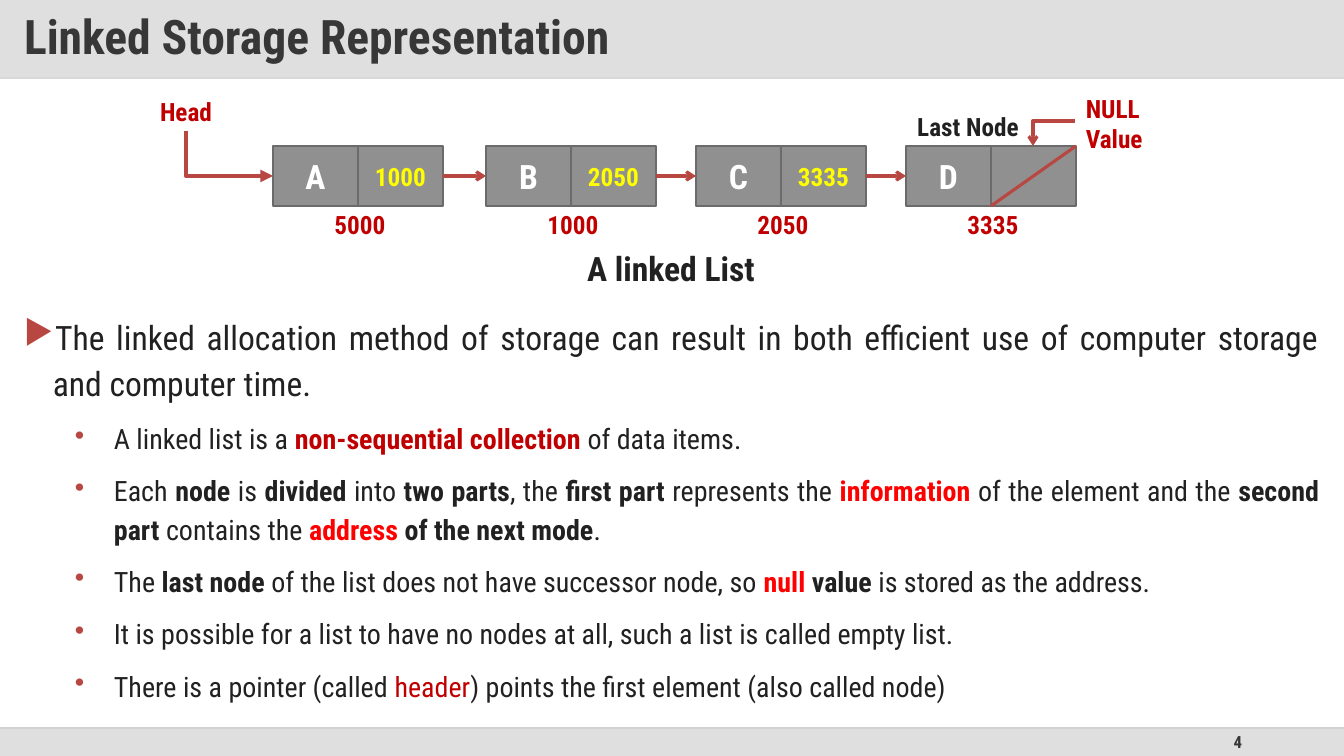
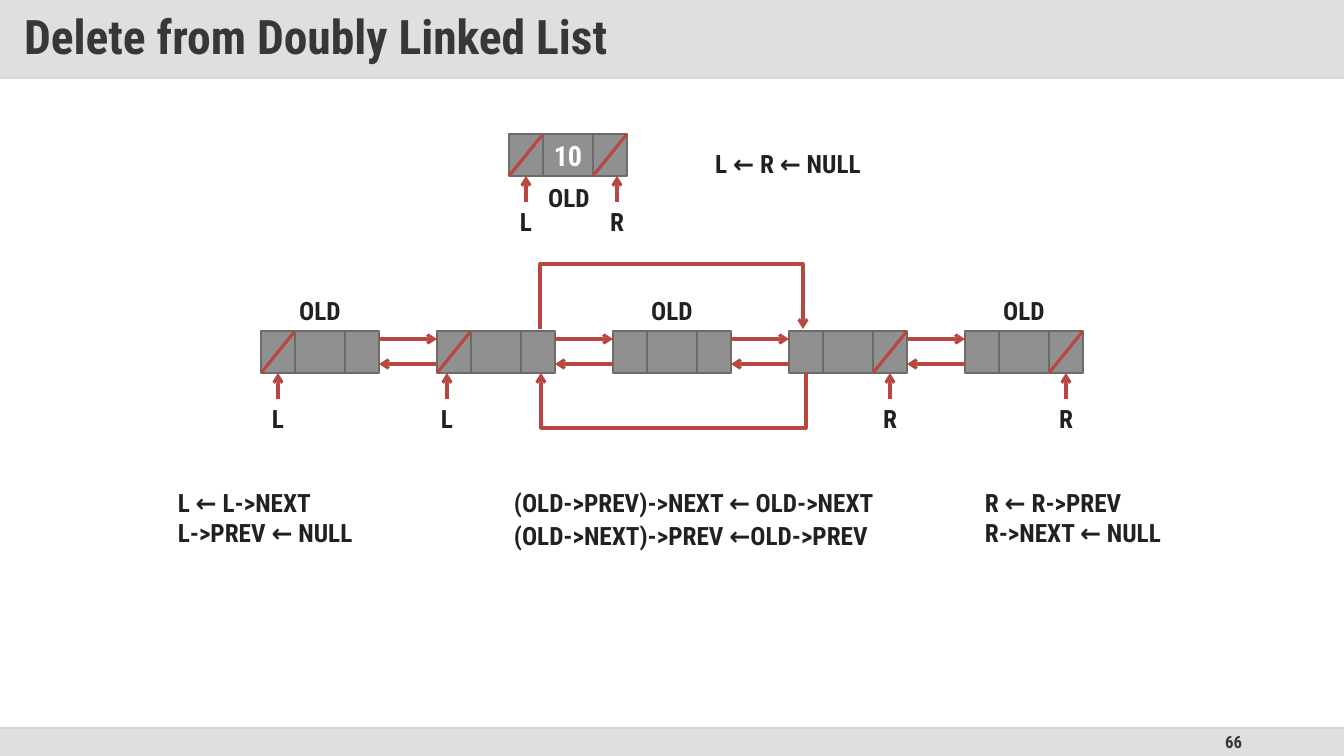
from lxml.etree import SubElement as Sub
from pptx import Presentation
from pptx.dml.color import RGBColor as RGB
from pptx.enum.shapes import MSO_CONNECTOR as Conn, MSO_SHAPE as Shape
from pptx.enum.text import MSO_ANCHOR as Anchor, PP_ALIGN as Align
from pptx.oxml.ns import qn
from pptx.util import Emu, Pt

WIDE, HIGH = 1344, 756
SCALE = 12192000 / WIDE
FONT = "Roboto Condensed"

BAND = RGB(0xDF, 0xDF, 0xDF)
RULE = RGB(0xD9, 0xD9, 0xD9)
FOOT = RGB(0xD2, 0xD2, 0xD2)
TITLE = RGB(0x37, 0x37, 0x37)
INK = RGB(0x21, 0x21, 0x21)
CELL = RGB(0x90, 0x90, 0x90)
EDGE = RGB(0x6B, 0x6B, 0x6B)
RUST = RGB(0xB8, 0x47, 0x42)
DARK = RGB(0xC0, 0x00, 0x00)
RED = RGB(0xFF, 0x00, 0x00)
GOLD = RGB(0xFF, 0xFF, 0x00)
WHITE = RGB(0xFF, 0xFF, 0xFF)


def px(n):
    return Emu(round(n * SCALE))


def write(frame, paras, size=18, ink=INK, bold=True, align=Align.LEFT,
          anchor=Anchor.TOP, wrap=False, lead=None, gap=0, marks=None):
    """Each paragraph is a string or a list of strings and (text, ink, bold)."""
    frame.word_wrap = wrap
    frame.vertical_anchor = anchor
    for i, runs in enumerate(paras):
        para = frame.paragraphs[0] if i == 0 else frame.add_paragraph()
        para.alignment = align
        if marks:
            mark(para, *marks[min(i, len(marks) - 1)])
        if lead:
            para.line_spacing = lead
        if gap and i:
            para.space_before = Pt(gap)
        level = size[min(i, len(size) - 1)] if isinstance(size, tuple) else size
        for part in [runs] if isinstance(runs, str) else runs:
            words, tint, heavy = (part, ink, bold) if isinstance(part, str) else part
            run = para.add_run()
            run.text = words
            font = run.font
            font.name, font.size, font.bold = FONT, Pt(level), heavy
            font.color.rgb = tint


def mark(para, sign, left, hang, level):
    para.level = level
    props = para._p.get_or_add_pPr()
    props.set("marL", str(px(left)))
    props.set("indent", str(-px(hang)))
    Sub(Sub(props, qn("a:buClr")), qn("a:srgbClr")).set("val", str(RUST))
    Sub(props, qn("a:buChar")).set("char", sign)


def put(slide, box, paras, **style):
    area = slide.shapes.add_textbox(*map(px, box))
    write(area.text_frame, paras, **style)


def label(slide, text, mid, top, wide=72, **style):
    put(slide, (mid - wide / 2, top, wide, 40), [text], align=Align.CENTER, **style)


def block(slide, box, fill, edge=None):
    shape = slide.shapes.add_shape(Shape.RECTANGLE, *map(px, box))
    shape.shadow.inherit = False
    shape.fill.solid()
    shape.fill.fore_color.rgb = fill
    if edge:
        shape.line.color.rgb = edge
        shape.line.width = Pt(1)
    else:
        shape.line.fill.background()
    return shape


def stroke(shape, ink, width, head):
    line = shape.line
    line.color.rgb = ink
    line.width = Pt(width)
    if head:
        Sub(line._get_or_add_ln(), qn("a:tailEnd")).set("type", head)


def link(slide, start, end, ink=RUST, width=2.25, head=None):
    line = slide.shapes.add_connector(Conn.STRAIGHT, *map(px, start + end))
    stroke(line, ink, width, head)
    Sub(line._element.spPr, qn("a:effectLst"))
    return line


def route(slide, spots, width=2.25, head="arrow"):
    """Open line with square corners and an arrowhead at its end."""
    spots = [(px(x), px(y)) for x, y in spots]
    maker = slide.shapes.build_freeform(*spots[0])
    maker.add_line_segments(spots[1:], close=False)
    shape = maker.convert_to_shape()
    shape.shadow.inherit = False
    shape.fill.background()
    stroke(shape, RUST, width, head)


def node(slide, x, y, widths, high, texts=(), slashed=()):
    """Row of touching cells; texts are (words, size, ink) or None."""
    cells = []
    for i, wide in enumerate(widths):
        cell = block(slide, (x, y, wide, high), CELL, EDGE)
        if i < len(texts) and texts[i]:
            words, size, ink = texts[i]
            frame = cell.text_frame
            frame.margin_left = frame.margin_right = 0
            write(frame, [words], size=size, ink=ink,
                  align=Align.CENTER, anchor=Anchor.MIDDLE)
        if i in slashed:
            link(slide, (x, y + high), (x + wide, y))
        cells.append(cell)
        x += wide
    return cells


def frame(deck, title, page):
    """Title band, footer band, rules and page number."""
    slide = deck.slides.add_slide(deck.slide_layouts[5])
    block(slide, (0, 728, WIDE, 28), BAND)
    put(slide, (950, 728, 302, 28), [page], size=12, ink=TITLE,
        align=Align.RIGHT, anchor=Anchor.MIDDLE, wrap=True)
    head = slide.shapes.title
    head.left, head.top, head.width, head.height = map(px, (0, 0, WIDE, 78))
    head.fill.solid()
    head.fill.fore_color.rgb = BAND
    text = head.text_frame
    text.margin_left = text.margin_right = px(24)
    text.margin_top = text.margin_bottom = px(12)
    write(text, [title], size=34, ink=TITLE, anchor=Anchor.MIDDLE,
          wrap=True, lead=0.9)
    for y, ink in ((78, RULE), (728, FOOT)):
        link(slide, (0, y), (WIDE, y), ink, 1)
    return slide


def chain(slide, y):
    """Singly linked list with its head, addresses and null end."""
    wide, high = 85, 60
    data = [(273, "A", "1000", "5000"), (486, "B", "2050", "1000"),
            (696, "C", "3335", "2050"), (906, "D", None, "3335")]
    last = None
    for x, name, after, place in data:
        texts = [(name, 24, WHITE), (after, 18, GOLD) if after else None]
        cells = node(slide, x, y, (wide, wide), high, texts, () if after else (1,))
        label(slide, place, x + wide + 2, y + 58, ink=DARK)
        if last:
            arrow = link(slide, (x - 40, y + 30), (x, y + 30), head="arrow")
            arrow.begin_connect(last, 3)
            arrow.end_connect(cells[0], 1)
        last = cells[1]
    # Head and null pointers
    label(slide, "Head", 186, y - 55, ink=DARK)
    route(slide, [(186, y - 15), (186, y + 30), (273, y + 30)], 3, "triangle")
    label(slide, "Last Node", 968, y - 40, 125)
    put(slide, (1076, y - 58, 82, 72), ["NULL", "Value"], ink=DARK)
    route(slide, [(1075, y - 25), (1033, y - 25), (1033, y)])
    label(slide, "A linked List", 671, y + 97, 190, size=24)


def points(slide, box):
    """Bulleted notes: one lead line and its details."""
    def strong(words, ink=INK):
        return words, ink, True

    paras = [
        "The linked allocation method of storage can result in both efficient "
        "use of computer storage and computer time.",
        ["A linked list is a ", strong("non-sequential collection ", DARK),
         "of data items."],
        ["Each ", strong("node"), " is ", strong("divided"), " into ",
         strong("two parts"), ", the ", strong("first part "), "represents the ",
         strong("information", RED), " of the element and the ",
         strong("second part "), "contains the ", strong("address", RED),
         strong(" of the next mode"), "."],
        ["The ", strong("last node "),
         "of the list does not have successor node, so ", strong("null ", RED),
         strong("value "), "is stored as the address."],
        "It is possible for a list to have no nodes at all, such a list is "
        "called empty list.",
        ["There is a pointer (called ", ("header", DARK, False),
         ") points the first element (also called node)"],
    ]
    put(slide, box, paras, size=(24, 20), bold=False, align=Align.JUSTIFY,
        wrap=True, lead=1.14, gap=10,
        marks=[("▶", 29, 29, 0), ("•", 90, 39, 1)])


PARTS = (34, 50, 34)
TALL = 42


def pointer(slide, name, cell, mid, foot, shift=0):
    """Named arrow up to a cell, joined when it meets the middle."""
    x = mid + shift
    arrow = link(slide, (x, foot + 26), (x, foot), head="arrow")
    if not shift:
        arrow.end_connect(cell, 2)
    label(slide, name, x, foot + 25, 34)


def single(slide, x, y):
    """List of one node."""
    cells = node(slide, x, y, PARTS, TALL, [None, ("10", 20, WHITE)], (0, 2))
    label(slide, "OLD", x + 60, y + 43)
    pointer(slide, "L", cells[0], x + 17, y + TALL)
    pointer(slide, "R", cells[2], x + 101, y + TALL, 7)
    label(slide, "L ← R ← NULL", x + 279, y + 9, 174)


def double(slide, x, y):
    """Five doubly linked nodes with the bypass around the third."""
    step, wide = 176, sum(PARTS)
    slashes = [(0,), (0,), (), (2,), (2,)]
    ends = {0: ("L", 0, 0), 1: ("L", 0, -7), 3: ("R", 2, 0), 4: ("R", 2, 0)}
    for i, slashed in enumerate(slashes):
        left = x + i * step
        cells = node(slide, left, y, PARTS, TALL, slashed=slashed)
        if i % 2 == 0:
            label(slide, "OLD", left + wide / 2, y - 41)
        if i in ends:
            name, part, shift = ends[i]
            mid = left + (17 if part == 0 else wide - 17)
            pointer(slide, name, cells[part], mid, y + TALL, shift)
        if i:
            back = left - step + wide
            link(slide, (back, y + 8), (left, y + 8), head="arrow")
            link(slide, (left, y + 33), (back, y + 33), head="arrow")
    # Bypass links
    route(slide, [(540, y - 2), (540, y - 67), (803, y - 67), (803, y - 2)])
    route(slide, [(806, y + 42), (806, y + 97), (541, y + 97), (541, y + 42)])


def codes(slide, y):
    """Pointer changes for each case."""
    for x, wide, gap, lines in (
            (168, 200, 0, ["L ← L->NEXT", "L->PREV ← NULL"]),
            (504, 387, 2, ["(OLD->PREV)->NEXT ← OLD->NEXT",
                           "(OLD->NEXT)->PREV ←OLD->PREV"]),
            (975, 203, 0, ["R ← R->PREV", "R->NEXT ← NULL"])):
        put(slide, (x, y, wide, 72), lines, gap=gap)


def main():
    deck = Presentation()
    deck.slide_width, deck.slide_height = px(WIDE), px(HIGH)

    slide = frame(deck, "Linked Storage Representation", "4")
    chain(slide, 146)
    points(slide, (14, 306, 1315, 405))

    slide = frame(deck, "Delete from Doubly Linked List", "66")
    single(slide, 509, 134)
    double(slide, 261, 331)
    codes(slide, 482)

    deck.save("out.pptx")


if __name__ == "__main__":
    main()
